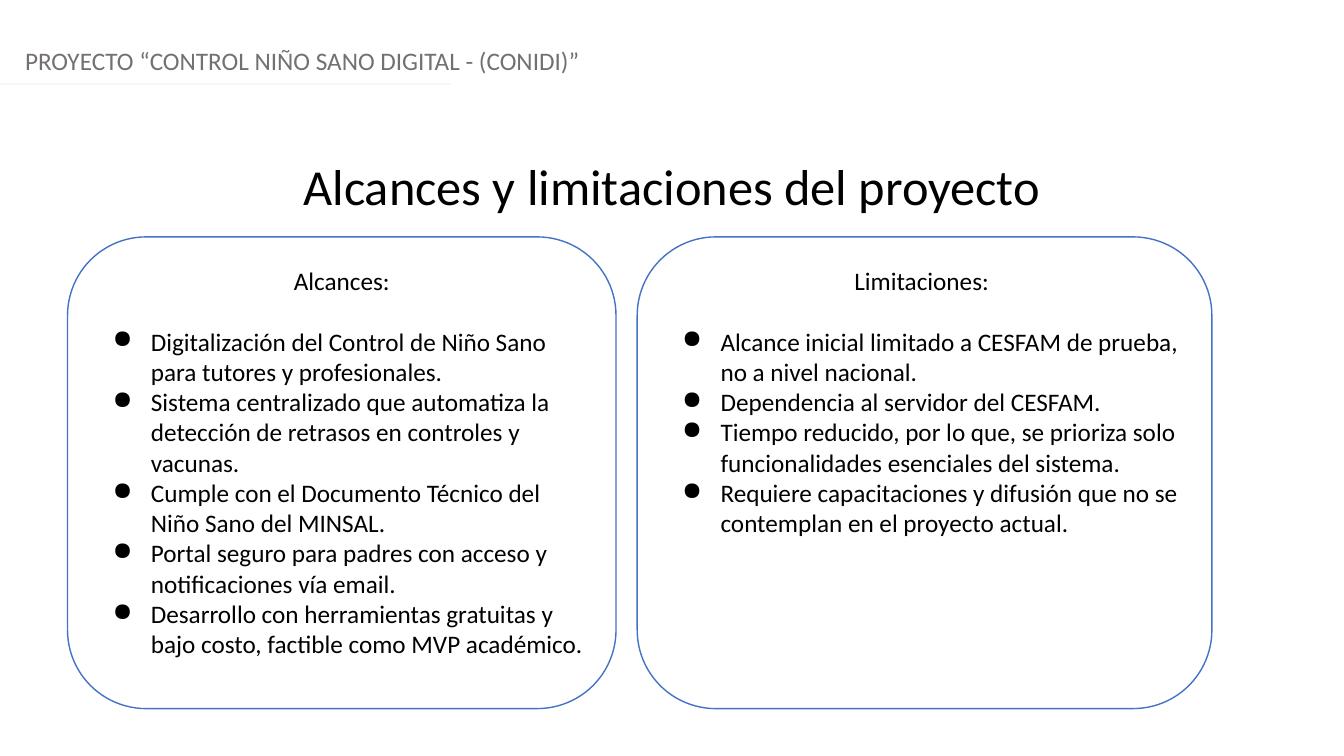
from dataclasses import dataclass

from lxml import etree
from pptx import Presentation
from pptx.dml.color import RGBColor
from pptx.enum.shapes import MSO_CONNECTOR, MSO_SHAPE
from pptx.enum.text import MSO_ANCHOR, PP_ALIGN
from pptx.oxml.ns import qn
from pptx.util import Inches, Pt

CENTER, LEFT = PP_ALIGN.CENTER, PP_ALIGN.LEFT
TOP = MSO_ANCHOR.TOP
ROUNDED = MSO_SHAPE.ROUNDED_RECTANGLE
STRAIGHT = MSO_CONNECTOR.STRAIGHT


@dataclass(frozen=True)
class Theme:
    """Colours, typeface and type sizes of the slide."""
    font: str = "Calibri"
    ink: RGBColor = RGBColor(0x00, 0x00, 0x00)
    muted: RGBColor = RGBColor(0x75, 0x70, 0x70)
    paper: RGBColor = RGBColor(0xFF, 0xFF, 0xFF)
    border: RGBColor = RGBColor(0x44, 0x72, 0xC4)
    rule: RGBColor = RGBColor(0xF5, 0xF7, 0xFC)
    title_size: int = 36
    body_size: int = 18
    heading_gap: int = 22


THEME = Theme()
SLIDE_WIDTH, SLIDE_HEIGHT = 13.33, 7.5
PANEL_TOP, PANEL_HEIGHT = 2.35, 4.68

PANELS = [
    (0.67, 5.44, "Alcances:", [
        "Digitalización del Control de Niño Sano para tutores y profesionales.",
        "Sistema centralizado que automatiza la detección de retrasos en controles y vacunas.",
        "Cumple con el Documento Técnico del Niño Sano del MINSAL.",
        "Portal seguro para padres con acceso y notificaciones vía email.",
        "Desarrollo con herramientas gratuitas y bajo costo, factible como MVP académico.",
    ]),
    (6.32, 5.7, "Limitaciones: ", [
        "Alcance inicial limitado a CESFAM de prueba, no a nivel nacional.",
        "Dependencia al servidor del CESFAM.",
        "Tiempo reducido, por lo que, se prioriza solo funcionalidades esenciales del sistema.",
        "Requiere capacitaciones y difusión que no se contemplan en el proyecto actual.",
    ]),
]


def write(paragraph, words, size, color, align):
    """Fill a paragraph with styled text."""
    paragraph.text = words
    paragraph.alignment = align
    paragraph.font.name = THEME.font
    paragraph.font.size = Pt(size)
    paragraph.font.color.rgb = color


def add_bullet(paragraph):
    """Give a paragraph a hanging round bullet in the ink colour."""
    properties = paragraph._p.get_or_add_pPr()
    properties.set("marL", str(Inches(0.5)))
    properties.set("indent", str(Inches(-0.38)))
    bullet_color = etree.Element(qn("a:buClr"))
    etree.SubElement(bullet_color, qn("a:srgbClr"), val=str(THEME.ink))
    bullet = etree.Element(qn("a:buChar"), char="●")
    properties.insert(0, bullet_color)
    properties.insert(1, bullet)


def add_label(slide, box, words, size, color, align):
    """Place one line of text in a box."""
    label = slide.shapes.add_textbox(*map(Inches, box))
    label.text_frame.word_wrap = True
    write(label.text_frame.paragraphs[0], words, size, color, align)


def add_header(slide, left, top, width):
    """Place the project name above its thin rule."""
    add_label(slide, (left + 0.15, top, width - 0.15, 0.4),
              "PROYECTO “CONTROL NIÑO SANO DIGITAL - (CONIDI)”",
              THEME.body_size, THEME.muted, LEFT)
    rule_y = Inches(top + 0.43)
    rule = slide.shapes.add_connector(
        STRAIGHT, Inches(left), rule_y, Inches(left + 4.47), rule_y)
    rule.line.color.rgb = THEME.rule
    rule.line.width = Pt(1.25)
    etree.SubElement(rule._element.spPr, qn("a:effectLst"))


def add_panel(slide, box, heading, points):
    """Place a rounded panel with a heading and bulleted points."""
    panel = slide.shapes.add_shape(ROUNDED, *map(Inches, box))
    panel.shadow.inherit = False
    panel.fill.solid()
    panel.fill.fore_color.rgb = THEME.paper
    panel.line.color.rgb = THEME.border
    panel.line.width = Pt(1)
    frame = panel.text_frame
    frame.word_wrap = True
    frame.vertical_anchor = TOP
    title = frame.paragraphs[0]
    write(title, heading, THEME.body_size, THEME.ink, CENTER)
    title.space_after = Pt(THEME.heading_gap)
    for point in points:
        paragraph = frame.add_paragraph()
        write(paragraph, point, THEME.body_size, THEME.ink, LEFT)
        add_bullet(paragraph)


def main():
    """Build and save the slide."""
    deck = Presentation()
    deck.slide_width = Inches(SLIDE_WIDTH)
    deck.slide_height = Inches(SLIDE_HEIGHT)
    slide = deck.slides.add_slide(deck.slide_layouts[6])
    add_header(slide, 0, 0.4, SLIDE_WIDTH)
    add_label(slide, (0, 1.49, SLIDE_WIDTH, 0.71),
              "Alcances y limitaciones del proyecto",
              THEME.title_size, THEME.ink, CENTER)
    for left, width, heading, points in PANELS:
        add_panel(slide, (left, PANEL_TOP, width, PANEL_HEIGHT), heading, points)
    deck.save("out.pptx")


if __name__ == "__main__":
    main()
